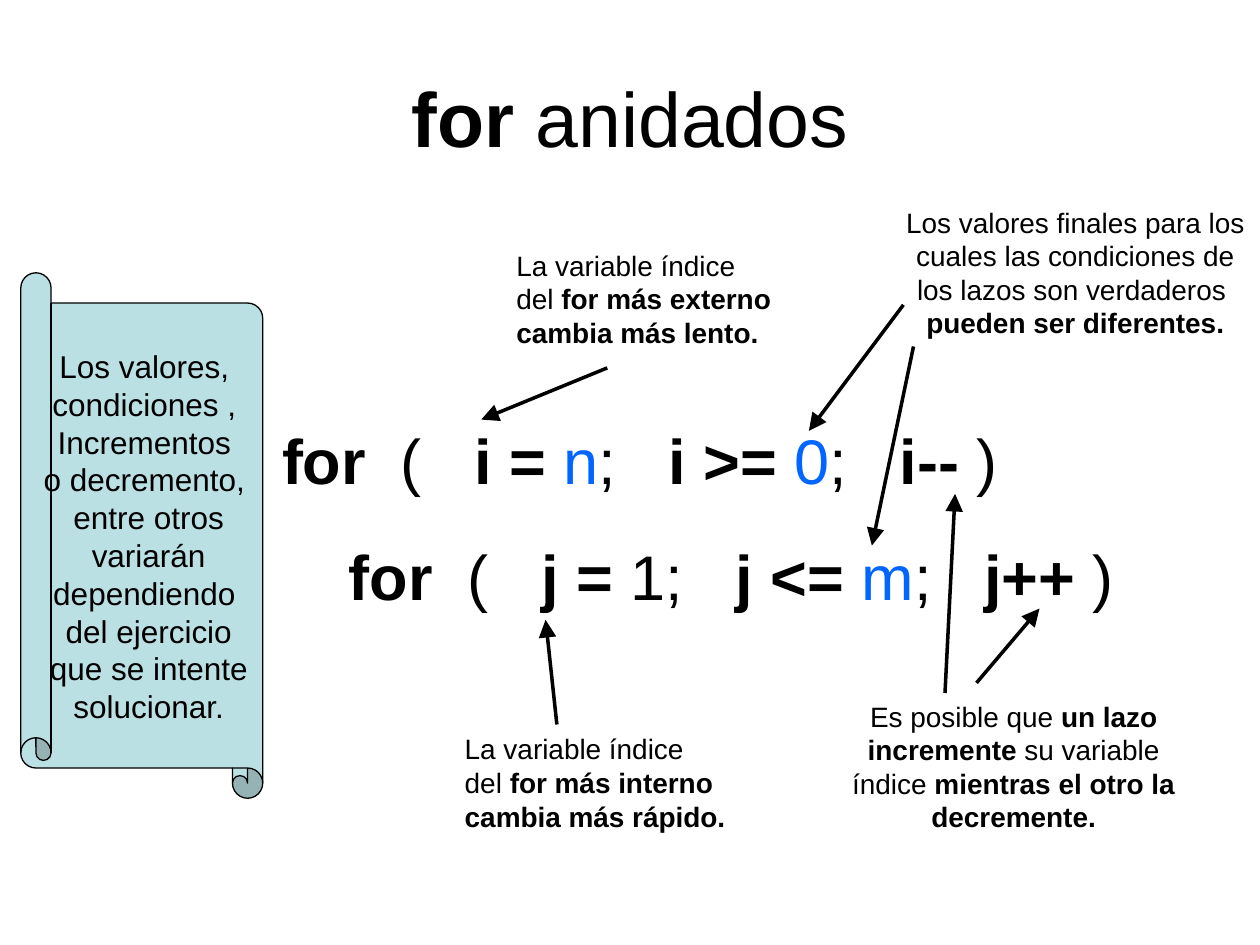
"""Build the slide on nested for loops, with its notes, arrows and scroll."""
from lxml import etree
from pptx import Presentation
from pptx.dml.color import RGBColor
from pptx.enum.shapes import MSO_CONNECTOR, MSO_SHAPE
from pptx.enum.text import MSO_ANCHOR, MSO_AUTO_SIZE, PP_ALIGN
from pptx.oxml.ns import qn
from pptx.util import Inches, Pt

LEFT, CENTER = PP_ALIGN.LEFT, PP_ALIGN.CENTER
MIDDLE = MSO_ANCHOR.MIDDLE
FIT, FIXED = MSO_AUTO_SIZE.SHAPE_TO_FIT_TEXT, MSO_AUTO_SIZE.NONE
STRAIGHT = MSO_CONNECTOR.STRAIGHT
SCROLL = MSO_SHAPE.VERTICAL_SCROLL

BLACK, BLUE, PALE_TEAL = "000000", "0066FF", "BBE0E3"
PLAIN, BOLD, VALUE = (False, BLACK), (True, BLACK), (False, BLUE)

TITLE = [[("for ", BOLD), ("anidados", PLAIN)]]

LOOPS = [
    ((2.14, 3.3, 5.88, 0.7), [[
        ("for", BOLD), ("  (   ", PLAIN), ("i = ", BOLD), ("n", VALUE), (";   ", PLAIN),
        ("i >= ", BOLD), ("0", VALUE), (";  ", PLAIN), (" i--", BOLD), (" )", PLAIN)]]),
    ((2.67, 4.22, 6.27, 0.7), [[
        ("for", BOLD), ("  (   ", PLAIN), ("j =", BOLD), (" 1;   ", PLAIN),
        ("j <= ", BOLD), ("m", VALUE), (";  ", PLAIN), (" j++", BOLD), (" )", PLAIN)]]),
]

INDEX_NOTES = [
    ((4, 1.92, 2.22, 0.9), "for más externo", "cambia más lento."),
    ((3.59, 5.76, 2.27, 0.9), "for más interno", "cambia más rápido."),
]

CENTERED_NOTES = [
    ((7.07, 1.58, 2.93, 1.17), [
        [("Los valores finales para los cuales las condiciones de los lazos son verdaderos ", PLAIN)],
        [("pueden ser diferentes.", BOLD)]]),
    ((6.58, 5.5, 2.93, 1.17), [[
        ("Es posible que", PLAIN), (" un lazo incremente", BOLD),
        (" su variable índice ", PLAIN), ("mientras el otro la decremente.", BOLD)]]),
]

ARROWS = [
    ((4.82, 2.92), (3.82, 3.33)),
    ((7.17, 2.42), (6.42, 3.42)),
    ((4.42, 5.75), (4.33, 4.92)),
    ((7.25, 2.75), (6.92, 4.33)),
    ((7.75, 5.42), (8.25, 4.83)),
    ((7.5, 5.5), (7.58, 3.92)),
]

SCROLL_PLACE = (-0.96, 3.29, 4.17, 1.92)
SCROLL_TEXT_PLACE = (0.22, 2.17, 1.92, 4.17)
SCROLL_LINES = [
    "Los valores, ", "condiciones , ", "Incrementos ", "o decremento, ", "entre otros",
    " variarán ", "dependiendo ", "del ejercicio", "que se intente", "solucionar.",
]


def rgb(color):
    return RGBColor.from_string(color)


def add_text(slide, place, lines, size, align=LEFT, wrap=False):
    frame = slide.shapes.add_textbox(*map(Inches, place)).text_frame
    frame.word_wrap = wrap
    frame.auto_size = FIT
    for number, line in enumerate(lines):
        paragraph = frame.add_paragraph() if number else frame.paragraphs[0]
        paragraph.alignment = align
        for words, (bold, color) in line:
            run = paragraph.add_run()
            run.text = words
            run.font.name = "Arial"
            run.font.size = Pt(size)
            run.font.bold = bold
            run.font.color.rgb = rgb(color)
    return frame


def add_middle_text(slide, place, lines, size, wrap):
    frame = add_text(slide, place, lines, size, CENTER, wrap)
    frame.auto_size = FIXED
    frame.vertical_anchor = MIDDLE


def add_arrow(slide, start, end):
    arrow = slide.shapes.add_connector(STRAIGHT, *map(Inches, start + end))
    arrow.line.width = Pt(2)
    arrow.line.color.rgb = rgb(BLACK)
    etree.SubElement(arrow.line._get_or_add_ln(), qn("a:tailEnd"),
                     type="triangle", w="lg", len="lg")
    etree.SubElement(arrow._element.spPr, qn("a:effectLst"))


def add_scroll(slide):
    scroll = slide.shapes.add_shape(SCROLL, *map(Inches, SCROLL_PLACE))
    scroll.rotation = 270
    scroll.adjustments[0] = 0.125
    scroll.shadow.inherit = False
    scroll.fill.solid()
    scroll.fill.fore_color.rgb = rgb(PALE_TEAL)
    scroll.line.color.rgb = rgb(BLACK)
    scroll.line.width = Pt(0.75)
    lines = [[(line, PLAIN)] for line in SCROLL_LINES]
    add_middle_text(slide, SCROLL_TEXT_PLACE, lines, 18, False)


def main():
    deck = Presentation()
    deck.slide_width, deck.slide_height = Inches(10), Inches(7.5)
    slide = deck.slides.add_slide(deck.slide_layouts[6])

    add_middle_text(slide, (0.5, 0.3, 9, 1.25), TITLE, 44, True)
    for place, lines in LOOPS:
        add_text(slide, place, lines, 36)
    for place, loop, pace in INDEX_NOTES:
        lines = [[("La variable índice", PLAIN)],
                 [("del ", PLAIN), (loop, BOLD)],
                 [(pace, BOLD)]]
        add_text(slide, place, lines, 16)
    for place, lines in CENTERED_NOTES:
        add_text(slide, place, lines, 16, CENTER, True)
    for start, end in ARROWS:
        add_arrow(slide, start, end)
    add_scroll(slide)
    deck.save("out.pptx")


if __name__ == "__main__":
    main()
